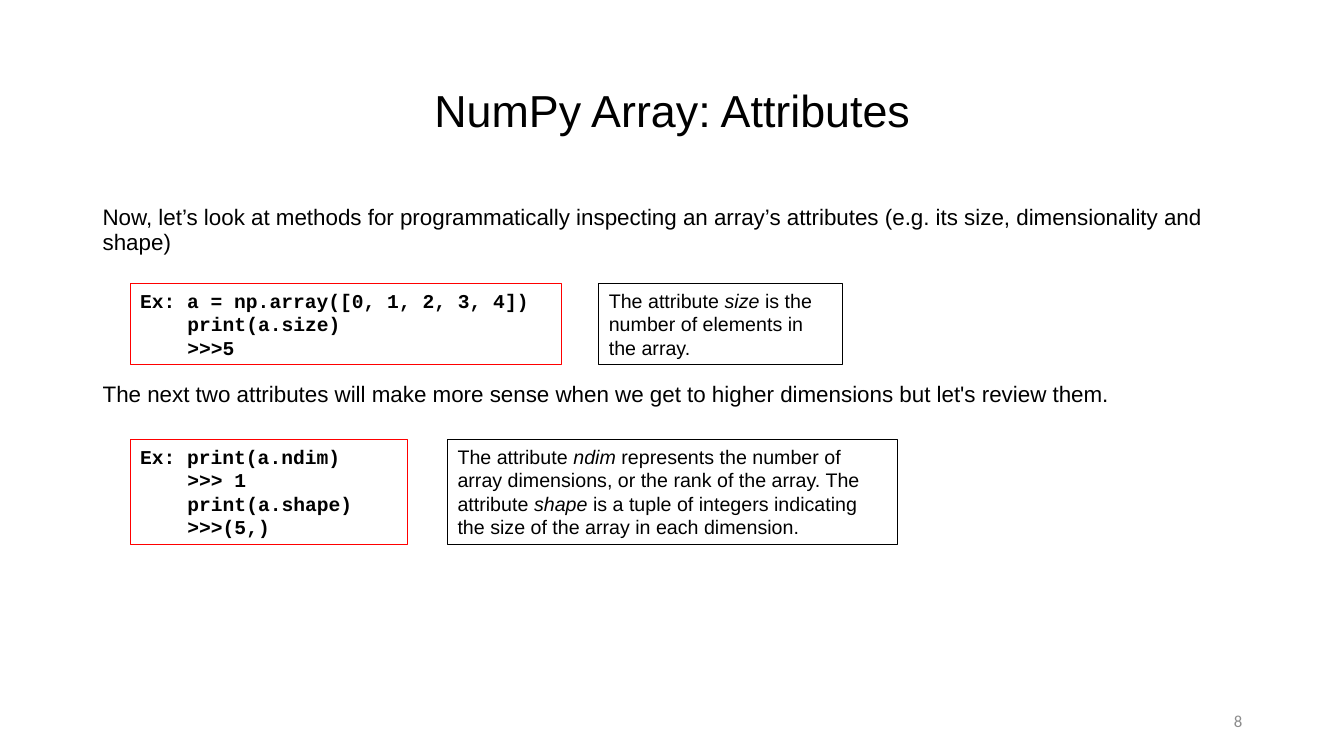
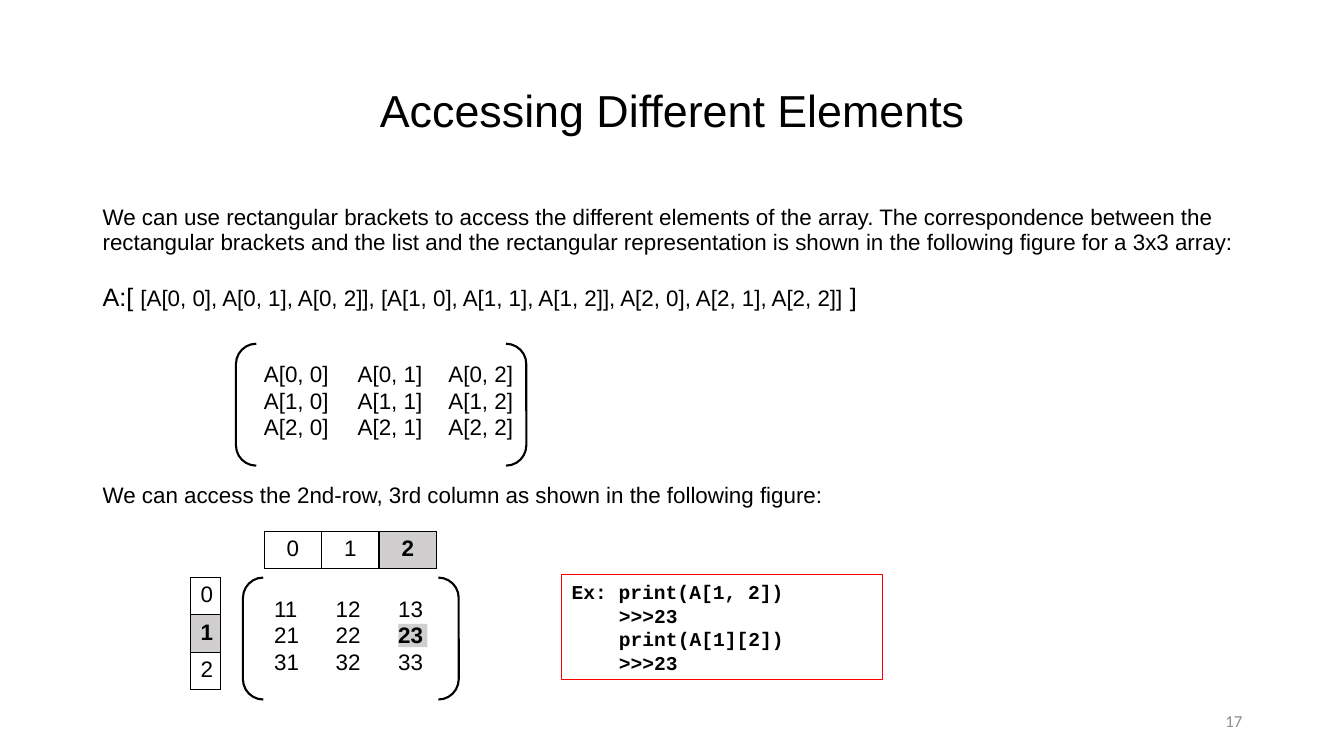
from pptx import Presentation
from pptx.util import Inches, Pt
from pptx.dml.color import RGBColor
from pptx.enum.shapes import MSO_SHAPE
from pptx.enum.text import MSO_ANCHOR, PP_ALIGN
from lxml import etree

RECT, BRACKETS = MSO_SHAPE.RECTANGLE, MSO_SHAPE.DOUBLE_BRACKET
TOP, MIDDLE = MSO_ANCHOR.TOP, MSO_ANCHOR.MIDDLE
LEFT, CENTER, RIGHT = PP_ALIGN.LEFT, PP_ALIGN.CENTER, PP_ALIGN.RIGHT
NS = "http://schemas.openxmlformats.org/drawingml/2006/main"

COLORS = {"ink": "000000", "code": "FF0000", "mark": "D0CECE", "number": "8C8C8C"}
MARGIN, CONTENT_W = 0.92, 11.5
CODE_INDENT = 0.47  # four Courier New characters at 14 pt
BOLD, ITALIC, LARGE = {"bold": True}, {"italic": True}, {"size": 18}

# Content: a paragraph is a list of runs, a run is text or (text, format)
SLIDES = [
    {
        "title": "NumPy Array: Attributes",
        "number": "8",
        "body": [
            (2, "Now, let’s look at methods for programmatically inspecting an array’s "
                "attributes (e.g. its size, dimensionality and shape)"),
            (3.75, "The next two attributes will make more sense when we get to higher "
                   "dimensions but let's review them."),
        ],
        "code": [
            ((1.29, 2.81, 4.28, 0.81),
             ["Ex: a = np.array([0, 1, 2, 3, 4])", "print(a.size)", ">>>5"]),
            ((1.29, 4.36, 2.75, 1.04),
             ["Ex: print(a.ndim)", ">>> 1", "print(a.shape)", ">>>(5,)"]),
        ],
        "remarks": [
            ((5.94, 2.81, 2.42, 0.81),
             ["The attribute ", ("size", ITALIC), " is the number of elements in the array."]),
            ((4.44, 4.36, 4.46, 1.04),
             ["The attribute ", ("ndim", ITALIC),
              " represents the number of array dimensions, or the rank of the array. "
              "The attribute ", ("shape", ITALIC),
              " is a tuple of integers indicating the size of the array in each dimension."]),
        ],
    },
    {
        "title": "Accessing Different Elements",
        "number": "17",
        "body": [
            (2, "We can use rectangular brackets to access the different elements of the array. "
                "The correspondence between the rectangular brackets and the list and the "
                "rectangular representation is shown in the following figure for a 3x3 array:"),
            (4.75, "We can access the 2nd-row, 3rd column as shown in the following figure:"),
        ],
        "listing": ((MARGIN, 2.74, 7.84, 0.4), [
            ("A:[ ", LARGE),
            "[A[0, 0], A[0, 1], A[0, 2]], [A[1, 0], A[1, 1], A[1, 2]], "
            "A[2, 0], A[2, 1], A[2, 2]] ",
            ("]", LARGE)]),
        "code": [
            ((5.57, 5.7, 3.18, 1.04),
             ["Ex: print(A[1, 2])", ">>>23", "print(A[1][2])", ">>>23"]),
        ],
        "marks": [(3.95, 6.19, 0.29, 0.23)],
        "matrices": [
            {"brackets": (2.34, 3.41, 2.88, 1.21), "at": (2.52, 3.52, 2.86, 0.91),
             "tabs": (0.93, 1.83), "bold": None,
             "rows": [[f"A[{i}, {j}]" for j in range(3)] for i in range(3)]},
            {"brackets": (2.41, 5.73, 2.14, 1.21), "at": (2.62, 5.85, 1.92, 0.91),
             "tabs": (0.61, 1.23), "bold": "23",
             "rows": [[f"{i}{j}" for j in (1, 2, 3)] for i in (1, 2, 3)]},
        ],
        # position, cell size, labels by row, highlighted label, alignment
        "indexes": [
            ((2.62, 5.27), (0.57, 0.37), [["0", "1", "2"]], "2", CENTER),
            ((1.89, 5.73), (0.3, 0.37), [["0"], ["1"], ["2"]], "1", LEFT),
        ],
    },
]


def rgb(name):
    return RGBColor.from_string(COLORS[name])


def write(tf, paras, size=16, font="Arial", color="ink", bold=False, italic=False,
          align=LEFT, anchor=TOP, spacing=1.0, hang=0, tabs=()):
    """Fill a text frame; hang indents every paragraph after the first."""
    tf.word_wrap = True
    tf.vertical_anchor = anchor
    for i, runs in enumerate(paras):
        p = tf.add_paragraph() if i else tf.paragraphs[0]
        p.alignment, p.line_spacing = align, spacing
        pPr = p._p.get_or_add_pPr()
        if hang and i:
            pPr.set("marL", str(Inches(hang)))
        if tabs:
            stops = etree.SubElement(pPr, f"{{{NS}}}tabLst")
            for pos in tabs:
                etree.SubElement(stops, f"{{{NS}}}tab", pos=str(Inches(pos)), algn="l")
        for run in runs:
            text, own = (run, {}) if isinstance(run, str) else run
            r = p.add_run()
            r.text = text
            r.font.name = font
            r.font.size = Pt(own.get("size", size))
            r.font.bold = own.get("bold", bold)
            r.font.italic = own.get("italic", italic)
            r.font.color.rgb = rgb(color)


def add_text(s, at, paras, **fmt):
    write(s.shapes.add_textbox(*map(Inches, at)).text_frame, paras, **fmt)


def add_box(s, kind, at, line=None, width=0.75, fill=None):
    sp = s.shapes.add_shape(kind, *map(Inches, at))
    sp.shadow.inherit = False
    if fill:
        sp.fill.solid()
        sp.fill.fore_color.rgb = rgb(fill)
    else:
        sp.fill.background()
    if line:
        sp.line.color.rgb = rgb(line)
        sp.line.width = Pt(width)
    else:
        sp.line.fill.background()
    return sp


def add_borders(cell):
    tcPr = cell._tc.get_or_add_tcPr()
    for i, side in enumerate(("lnL", "lnR", "lnT", "lnB")):
        ln = etree.Element(f"{{{NS}}}{side}", w=str(Pt(1)))
        fill = etree.SubElement(ln, f"{{{NS}}}solidFill")
        etree.SubElement(fill, f"{{{NS}}}srgbClr", val=COLORS["ink"])
        tcPr.insert(i, ln)


def add_index(s, pos, size, labels, marked, align):
    (x, y), (w, h) = pos, size
    rows, cols = len(labels), len(labels[0])
    table = s.shapes.add_table(rows, cols, *map(Inches, (x, y, w * cols, h * rows))).table
    table.first_row = table.horz_banding = False
    for i, row in enumerate(labels):
        for j, label in enumerate(row):
            cell = table.cell(i, j)
            if label == marked:
                cell.fill.solid()
                cell.fill.fore_color.rgb = rgb("mark")
            else:
                cell.fill.background()
            add_borders(cell)
            write(cell.text_frame, [[label]], bold=label == marked, align=align)


def add_matrix(s, m):
    add_box(s, BRACKETS, m["brackets"], line="ink", width=1.5)
    paras = []
    for row in m["rows"]:
        texts = [("\t" if j else "") + value for j, value in enumerate(row)]
        paras.append([(t, BOLD if v == m["bold"] else {}) for t, v in zip(texts, row)])
    add_text(s, m["at"], paras, tabs=m["tabs"])


def add_slide(prs, data):
    s = prs.slides.add_slide(prs.slide_layouts[6])
    for at in data.get("marks", []):
        add_box(s, RECT, at, fill="mark")

    # Title, body text and slide number
    add_text(s, (MARGIN, 0.4, CONTENT_W, 1.45), [[data["title"]]],
             size=32, align=CENTER, anchor=MIDDLE, spacing=0.9)
    for y, text in data["body"]:
        add_text(s, (MARGIN, y, CONTENT_W, 0.6), [[text]], spacing=0.9)
    add_text(s, (9.42, 6.95, 3, 0.4), [[data["number"]]], size=12,
             font="Calibri", color="number", align=RIGHT, anchor=MIDDLE)

    # Code examples and their remarks
    for at, lines in data["code"]:
        write(add_box(s, RECT, at, line="code").text_frame, [[t] for t in lines],
              size=14, font="Courier New", bold=True, hang=CODE_INDENT, anchor=MIDDLE)
    for at, runs in data.get("remarks", []):
        write(add_box(s, RECT, at, line="ink").text_frame, [runs], size=14, anchor=MIDDLE)

    # Array figures
    if "listing" in data:
        at, runs = data["listing"]
        add_text(s, at, [runs])
    for matrix in data.get("matrices", []):
        add_matrix(s, matrix)
    for index in data.get("indexes", []):
        add_index(s, *index)


def main():
    prs = Presentation()
    prs.slide_width, prs.slide_height = Inches(13.33), Inches(7.5)
    for data in SLIDES:
        add_slide(prs, data)
    prs.save("out.pptx")


if __name__ == "__main__":
    main()
